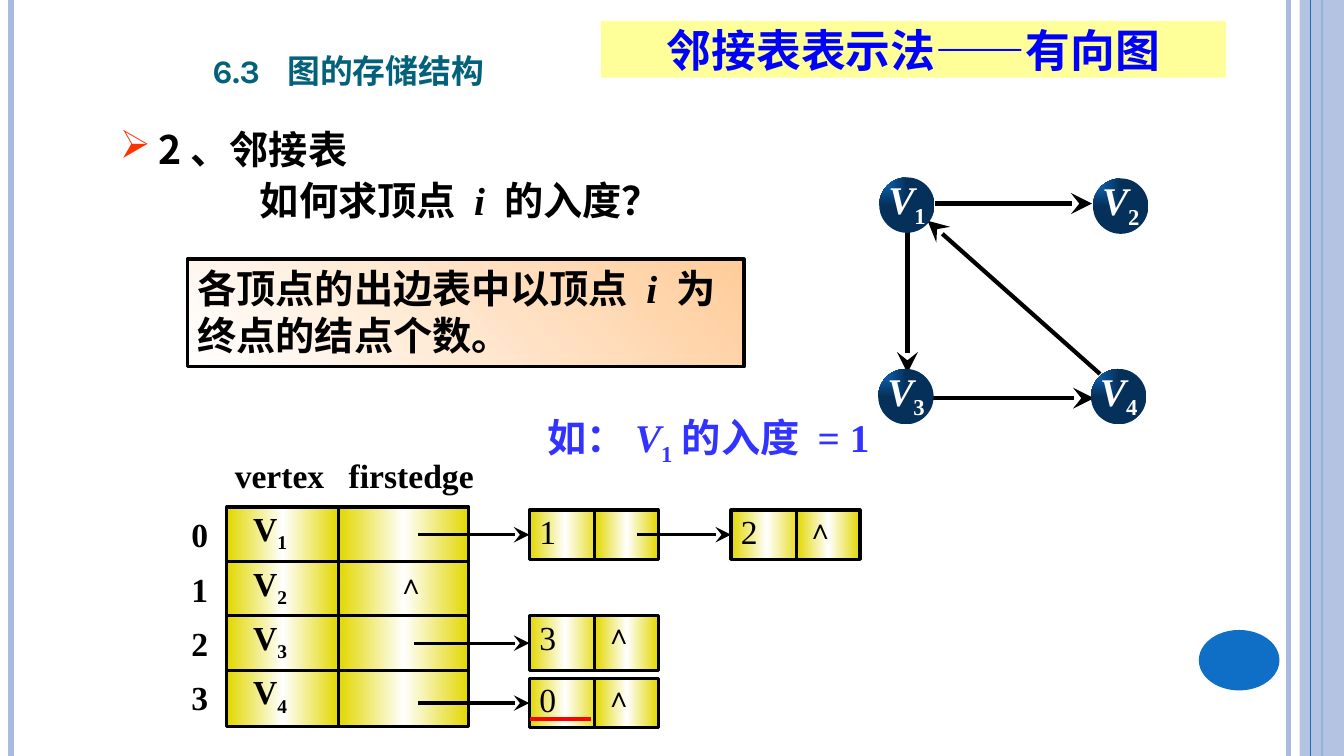
"""Build the slide on adjacency lists of a directed graph."""
from dataclasses import dataclass

from lxml import etree
from pptx import Presentation
from pptx.dml.color import RGBColor
from pptx.enum.shapes import MSO_CONNECTOR, MSO_SHAPE
from pptx.enum.text import MSO_ANCHOR, PP_ALIGN
from pptx.oxml.ns import qn
from pptx.util import Inches, Pt

STRAIGHT = MSO_CONNECTOR.STRAIGHT
RECTANGLE, OVAL = MSO_SHAPE.RECTANGLE, MSO_SHAPE.OVAL
TOP, MIDDLE, BOTTOM = MSO_ANCHOR.TOP, MSO_ANCHOR.MIDDLE, MSO_ANCHOR.BOTTOM
LEFT, CENTER = PP_ALIGN.LEFT, PP_ALIGN.CENTER
SERIF, HAN = "Times New Roman", "Noto Sans CJK SC"
COLORS = {"border": "ABBBDF", "accent": "0F6FC6", "deep": "05305A", "title": "04617B",
          "banner": "FFFF99", "blue": "0000FF", "example": "3333FF", "bullet": "FF3300",
          "cell": "E2D700", "peach": "FFCC99", "red": "FF0000", "black": "000000",
          "white": "FFFFFF"}
CELL_INSETS = (0.1, 0.01, 0.1, 0.05)
LABEL_INSETS = (0.01, 0.03, 0, 0.01)
DEFAULT_INSETS = (0.1, 0.05, 0.1, 0.05)


@dataclass
class Part:
    """A run of text with its own slant and baseline."""
    text: str
    italic: bool = False
    subscript: bool = False


@dataclass
class Style:
    """The font and setting of a block of text."""
    size: float
    color: str = "black"
    bold: bool = True
    font: str = SERIF
    align: PP_ALIGN = LEFT
    anchor: MSO_ANCHOR = TOP
    insets: tuple = DEFAULT_INSETS
    spacing: float = 1.0
    tab: float = 0
    bullet: str = ""


@dataclass
class Segment:
    """A straight line on the slide."""
    start: tuple
    end: tuple
    color: str = "black"
    width: float = 3
    arrow: bool = False


@dataclass
class EdgeNode:
    """A node in an edge list and the arrow that leads to it."""
    left: float
    top: float
    height: float
    vertex: str
    link: str
    arrow_from: float


BORDERS = [Segment((x, 0), (x, 7.5), color, width) for x, color, width in
           ((12.78, "border", 3), (0.11, "border", 4.5), (13.11, "accent", 1.5))]
ARCS = [Segment(start, end, arrow=True) for start, end in
        (((9.27, 2.02), (10.83, 2.02)), ((9, 2.3), (9, 3.7)),
         ((9.23, 3.95), (10.85, 3.95)), ((10.91, 3.71), (9.2, 2.19)))]
VERTICES = [(8.72, 1.76), (10.84, 1.77), (8.71, 3.66), (10.82, 3.66)]
EDGE_NODES = [EdgeNode(5.25, 5.06, 0.49, "1", "", 4.15),
              EdgeNode(7.25, 5.06, 0.49, "2", "∧", 6.32),
              EdgeNode(5.25, 6.11, 0.54, "3", "∧", 4.11),
              EdgeNode(5.25, 6.73, 0.49, "0", "∧", 4.15)]


def rgb(name: str) -> RGBColor:
    """Return a named colour."""
    return RGBColor.from_string(COLORS[name])


def add_child(parent, tag: str, **attributes):
    """Append a drawing element and return it."""
    return etree.SubElement(parent, qn(tag), attributes)


def write(shape, lines: list, style: Style) -> None:
    """Fill a shape with paragraphs made of parts."""
    frame = shape.text_frame
    frame.word_wrap = True
    frame.vertical_anchor = style.anchor
    (frame.margin_left, frame.margin_top,
     frame.margin_right, frame.margin_bottom) = map(Inches, style.insets)
    for index, parts in enumerate(lines):
        paragraph = frame.paragraphs[0] if index == 0 else frame.add_paragraph()
        paragraph.alignment = style.align
        paragraph.line_spacing = style.spacing
        properties = paragraph._p.get_or_add_pPr()
        if style.bullet:
            properties.set("marL", str(Inches(0.38)))
            properties.set("indent", str(-Inches(0.38)))
            add_child(add_child(properties, "a:buClr"), "a:srgbClr", val=COLORS["bullet"])
            add_child(properties, "a:buChar", char=style.bullet)
        if style.tab:
            tabs = add_child(properties, "a:tabLst")
            add_child(tabs, "a:tab", pos=str(Inches(style.tab)), algn="l")
        font = paragraph.font
        font.size, font.bold, font.name = Pt(style.size), style.bold, style.font
        font.color.rgb = rgb(style.color)
        add_child(properties.find(qn("a:defRPr")), "a:ea", typeface=HAN)
        for part in parts:
            run = paragraph.add_run()
            run.text = part.text
            if part.italic:
                run.font.italic = True
            if part.subscript:
                run._r.get_or_add_rPr().set("baseline", "-25000")


def add_text(slide, box: tuple, lines: list, style: Style) -> None:
    """Add a text box."""
    write(slide.shapes.add_textbox(*map(Inches, box)), lines, style)


def add_block(slide, kind: MSO_SHAPE, box: tuple, fill: str = "", outline: float = 0):
    """Add a preset shape, filled with a colour unless a gradient follows."""
    shape = slide.shapes.add_shape(kind, *map(Inches, box))
    shape.shadow.inherit = False
    if fill:
        shape.fill.solid()
        shape.fill.fore_color.rgb = rgb(fill)
    if outline:
        shape.line.color.rgb = rgb("black")
        shape.line.width = Pt(outline)
    else:
        shape.line.fill.background()
    return shape


def set_gradient(shape, colors: tuple, angle: int = 0, from_corner: bool = False) -> None:
    """Spread colours evenly along an angle or from the top left corner."""
    shape.fill.background()
    gradient = etree.Element(qn("a:gradFill"), rotWithShape="1")
    stops = add_child(gradient, "a:gsLst")
    for index, color in enumerate(colors):
        stop = add_child(stops, "a:gs", pos=str(100000 * index // (len(colors) - 1)))
        add_child(stop, "a:srgbClr", val=COLORS[color])
    if from_corner:
        add_child(add_child(gradient, "a:path", path="rect"),
                  "a:fillToRect", r="100000", b="100000")
    else:
        add_child(gradient, "a:lin", ang=str(angle * 60000), scaled="0")
    properties = shape._element.spPr
    properties.replace(properties.find(qn("a:noFill")), gradient)


def add_segment(slide, segment: Segment):
    """Add a line, with an arrowhead if it has one."""
    line = slide.shapes.add_connector(STRAIGHT, *map(Inches, segment.start + segment.end))
    line.line.color.rgb = rgb(segment.color)
    line.line.width = Pt(segment.width)
    if segment.arrow:
        add_child(line.line._get_or_add_ln(), "a:tailEnd", type="stealth", w="lg", len="lg")
    add_child(line._element.spPr, "a:effectLst")
    return line


def add_cell(slide, box: tuple):
    """Add an outlined cell with the yellow sheen."""
    cell = add_block(slide, RECTANGLE, box, outline=2.25)
    set_gradient(cell, ("cell", "white", "cell"))
    return cell


def draw_border(slide) -> None:
    """Draw the stripes and the disc at the edges."""
    for segment in BORDERS:
        add_segment(slide, segment)
    band = add_block(slide, RECTANGLE, (12.89, 0, 0.44, 7.5), "border")
    add_child(next(band._element.spPr.iter(qn("a:srgbClr"))), "a:alpha", val="87000")
    add_segment(slide, Segment((13, 0), (13, 7.5), "accent", 0.75))
    add_block(slide, OVAL, (11.89, 6.25, 0.8, 0.6), "accent")


def draw_graph(slide) -> None:
    """Draw the directed graph."""
    for arc in ARCS:
        add_segment(slide, arc)
    style = Style(28, "white", insets=LABEL_INSETS)
    for number, (left, top) in enumerate(VERTICES, 1):
        disc = add_block(slide, OVAL, (left, top, 0.55, 0.55))
        set_gradient(disc, ("accent", "deep"), from_corner=True)
        add_text(slide, (left + 0.08, top - 0.05, 0.51, 0.65),
                 [[Part("V", italic=True), Part(str(number), subscript=True)]], style)


def draw_adjacency_list(slide) -> None:
    """Draw the vertex table and the edge lists."""
    vertex_style = Style(24, insets=(0.26, 0.01, 0.1, 0.05))
    value_style = Style(24, bold=False, insets=CELL_INSETS)
    null_style = Style(20, bold=False, insets=CELL_INSETS)
    for row in range(4):
        top = 5.03 + 0.54 * row
        write(add_cell(slide, (2.25, top, 1.11, 0.56)),
              [[Part("V"), Part(str(row + 1), subscript=True)]], vertex_style)
        add_cell(slide, (3.36, top, 1.29, 0.56))
    add_text(slide, (3.84, 5.61, 0.63, 0.39), [[Part("∧")]], null_style)
    add_text(slide, (1.8, 4.95, 0.38, 2.22), [[Part(str(row))] for row in range(4)],
             Style(24, insets=CELL_INSETS, spacing=1.35))
    add_text(slide, (2.23, 4.5, 2.68, 0.48), [[Part("vertex\tfirstedge")]],
             Style(24, insets=CELL_INSETS, tab=1.13))
    for node in EDGE_NODES:
        value = add_cell(slide, (node.left, node.top, 0.71, node.height))
        write(value, [[Part(node.vertex)]], value_style)
        link = add_cell(slide, (node.left + 0.65, node.top, 0.63, node.height))
        if node.link:
            write(link, [[Part(node.link)]], null_style)
        middle = node.top + node.height / 2
        arrow = add_segment(slide, Segment((node.arrow_from, middle), (node.left, middle),
                                           width=2.25, arrow=True))
        arrow.end_connect(value, 1)
    add_segment(slide, Segment((5.26, 7.13), (5.86, 7.13), "red"))


def main() -> None:
    """Build and save the slide."""
    deck = Presentation()
    deck.slide_width, deck.slide_height = Inches(13.33), Inches(7.5)
    slide = deck.slides.add_slide(deck.slide_layouts[5])
    draw_border(slide)
    title = slide.shapes.title
    title.left, title.top, title.width, title.height = map(Inches, (2.01, 0.35, 4.88, 0.61))
    write(title, [[Part("6.3\t图的存储结构")]],
          Style(29.2, "title", font="Karla", anchor=BOTTOM, tab=0.74))
    title.text_frame.paragraphs[0].runs[0]._r.get_or_add_rPr().set("cap", "small")
    add_text(slide, (1.09, 1.1, 2.67, 0.76), [[Part("2、邻接表")]],
             Style(28, font=HAN, spacing=1.2, bullet="➢"))
    write(add_block(slide, RECTANGLE, (5.96, 0.21, 6.2, 0.56), "banner"),
          [[Part("邻接表表示法——有向图")]],
          Style(32, "blue", font=HAN, align=CENTER, anchor=MIDDLE))
    draw_graph(slide)
    draw_adjacency_list(slide)
    add_text(slide, (2.48, 1.7, 7.68, 0.57),
             [[Part("如何求顶点 "), Part("i ", italic=True), Part("的入度？")]], Style(28))
    answer = add_block(slide, RECTANGLE, (1.86, 2.57, 5.52, 1.07), outline=2.25)
    set_gradient(answer, ("white", "peach"), angle=315)
    write(answer, [[Part("各顶点的出边表中以顶点 "), Part("i ", italic=True), Part("为")],
                   [Part("终点的结点个数。")]], Style(28))
    add_text(slide, (5.33, 4.05, 4.45, 0.57),
             [[Part("如："), Part("V", italic=True), Part("1", subscript=True),
               Part("的入度 = 1")]], Style(28, "example"))
    deck.save("out.pptx")


if __name__ == "__main__":
    main()
